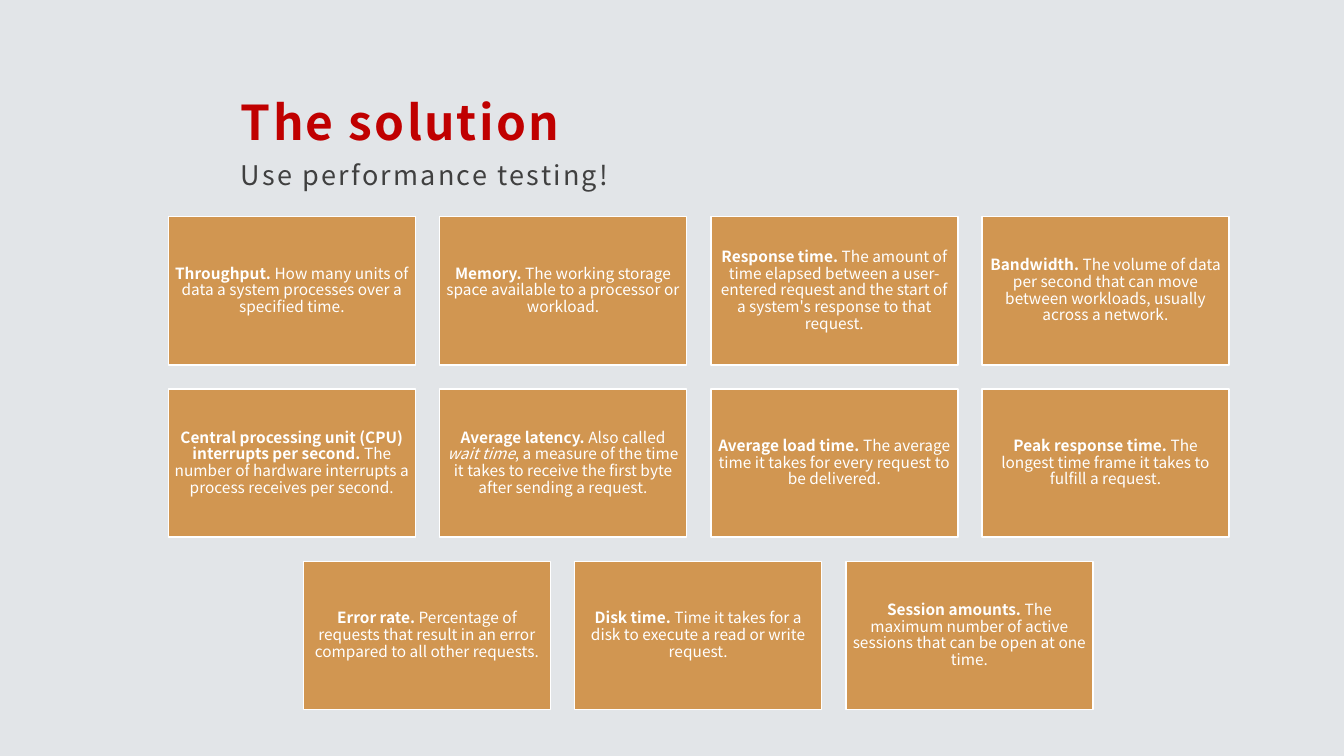
"""Builds a slide that lists eleven performance testing metrics as a grid of cards."""
from dataclasses import dataclass
from typing import NamedTuple

from pptx import Presentation
from pptx.dml.color import RGBColor
from pptx.enum.shapes import MSO_SHAPE as Preset
from pptx.enum.text import MSO_ANCHOR as Anchor, MSO_AUTO_SIZE as AutoSize, PP_ALIGN as Align
from pptx.util import Emu, Pt

EMU_PER_PX = 9144
SLIDE_WIDTH, SLIDE_HEIGHT = 1333, 750
COLUMNS = 4
GRID_LEFT, GRID_TOP = 167, 215
CARD_WIDTH, CARD_HEIGHT = 245, 147
STEP_X, STEP_Y = 269, 171


@dataclass(frozen=True)
class Theme:
    font: str = "Noto Sans CJK JP"
    background: str = "E2E5E8"
    title: str = "C00000"
    subtitle: str = "404040"
    card: str = "D19651"
    card_text: str = "FFFFFF"
    title_size: float = 34.2
    subtitle_size: float = 19.3
    card_size: float = 11
    heading_tracking: float = 1.6


class Span(NamedTuple):
    text: str
    bold: bool = False
    italic: bool = False


class Metric(NamedTuple):
    name: str
    description: tuple[Span, ...]


THEME = Theme()
METRICS = [
    Metric("Throughput.", (Span(" How many units of data a system processes over a specified time."),)),
    Metric("Memory.", (Span(" The working storage space available to a processor or workload."),)),
    Metric("Response time.", (Span(
        " The amount of time elapsed between a user-entered request "
        "and the start of a system's response to that request."),)),
    Metric("Bandwidth.", (Span(
        " The volume of data per second that can move between workloads, usually across a network."),)),
    Metric("Central processing unit (CPU) interrupts per second.", (Span(
        " The number of hardware interrupts a process receives per second."),)),
    Metric("Average latency.", (
        Span(" Also called "),
        Span("wait time", italic=True),
        Span(", a measure of the time it takes to receive the first byte after sending a request."))),
    Metric("Average load time.", (Span(" The average time it takes for every request to be delivered."),)),
    Metric("Peak response time.", (Span(" The longest time frame it takes to fulfill a request."),)),
    Metric("Error rate.", (Span(
        " Percentage of requests that result in an error compared to all other requests."),)),
    Metric("Disk time.", (Span(" Time it takes for a disk to execute a read or write request."),)),
    Metric("Session amounts.", (Span(
        " The maximum number of active sessions that can be open at one time."),)),
]


def px(length: int) -> Emu:
    """Turns px into EMU."""
    return Emu(length * EMU_PER_PX)


def write_text(shape, *spans: Span, size: float, color: str, align=Align.LEFT, anchor=Anchor.TOP,
               line_spacing: float = 1.0, space_after: float = 0, tracking: float = 0,
               inset_x: int = 10, inset_y: int = 5, auto_size=AutoSize.NONE) -> None:
    """Fills a shape with one formatted paragraph."""
    frame = shape.text_frame
    frame.word_wrap = True
    frame.auto_size = auto_size
    frame.vertical_anchor = anchor
    frame.margin_left = frame.margin_right = px(inset_x)
    frame.margin_top = frame.margin_bottom = px(inset_y)
    paragraph = frame.paragraphs[0]
    paragraph.alignment = align
    paragraph.line_spacing = line_spacing
    paragraph.space_before = Pt(0)
    paragraph.space_after = Pt(space_after)
    for span in spans:
        run = paragraph.add_run()
        run.text = span.text
        run.font.name = THEME.font
        run.font.size = Pt(size)
        run.font.bold = span.bold
        run.font.italic = span.italic
        run.font.color.rgb = RGBColor.from_string(color)
        if tracking:
            run.font._element.set("spc", str(round(tracking * 100)))


def add_headings(slide) -> None:
    """Places the title and the line below it."""
    title = slide.shapes.title
    title.left, title.top, title.width, title.height = px(229), px(70), px(471), px(81)
    write_text(title, Span("The solution", bold=True), size=THEME.title_size, color=THEME.title,
               line_spacing=1.3, space_after=6.4, tracking=THEME.heading_tracking,
               auto_size=AutoSize.SHAPE_TO_FIT_TEXT)
    subtitle = slide.shapes.add_textbox(px(229), px(152), px(715), px(43))
    write_text(subtitle, Span("Use performance testing!"), size=THEME.subtitle_size,
               color=THEME.subtitle, space_after=6, tracking=THEME.heading_tracking,
               auto_size=AutoSize.SHAPE_TO_FIT_TEXT)


def add_card(slide, metric: Metric, left: int, top: int) -> None:
    """Draws one metric card."""
    card = slide.shapes.add_shape(Preset.RECTANGLE, px(left), px(top), px(CARD_WIDTH), px(CARD_HEIGHT))
    card.shadow.inherit = False
    card.fill.solid()
    card.fill.fore_color.rgb = RGBColor.from_string(THEME.card)
    card.line.color.rgb = RGBColor.from_string(THEME.card_text)
    card.line.width = Pt(1)
    write_text(card, Span(metric.name, bold=True), *metric.description, size=THEME.card_size,
               color=THEME.card_text, align=Align.CENTER, anchor=Anchor.MIDDLE,
               line_spacing=0.9, space_after=4, inset_x=5)


def add_grid(slide) -> None:
    """Lays the cards out in rows and centres a short last row."""
    for row, start in enumerate(range(0, len(METRICS), COLUMNS)):
        members = METRICS[start:start + COLUMNS]
        row_left = GRID_LEFT + (COLUMNS - len(members)) * STEP_X // 2
        for column, metric in enumerate(members):
            add_card(slide, metric, row_left + column * STEP_X, GRID_TOP + row * STEP_Y)


def main() -> None:
    """Builds and saves the presentation."""
    presentation = Presentation()
    presentation.slide_width, presentation.slide_height = px(SLIDE_WIDTH), px(SLIDE_HEIGHT)
    slide = presentation.slides.add_slide(presentation.slide_layouts[5])
    slide.background.fill.solid()
    slide.background.fill.fore_color.rgb = RGBColor.from_string(THEME.background)
    add_headings(slide)
    add_grid(slide)
    presentation.save("out.pptx")


if __name__ == "__main__":
    main()
